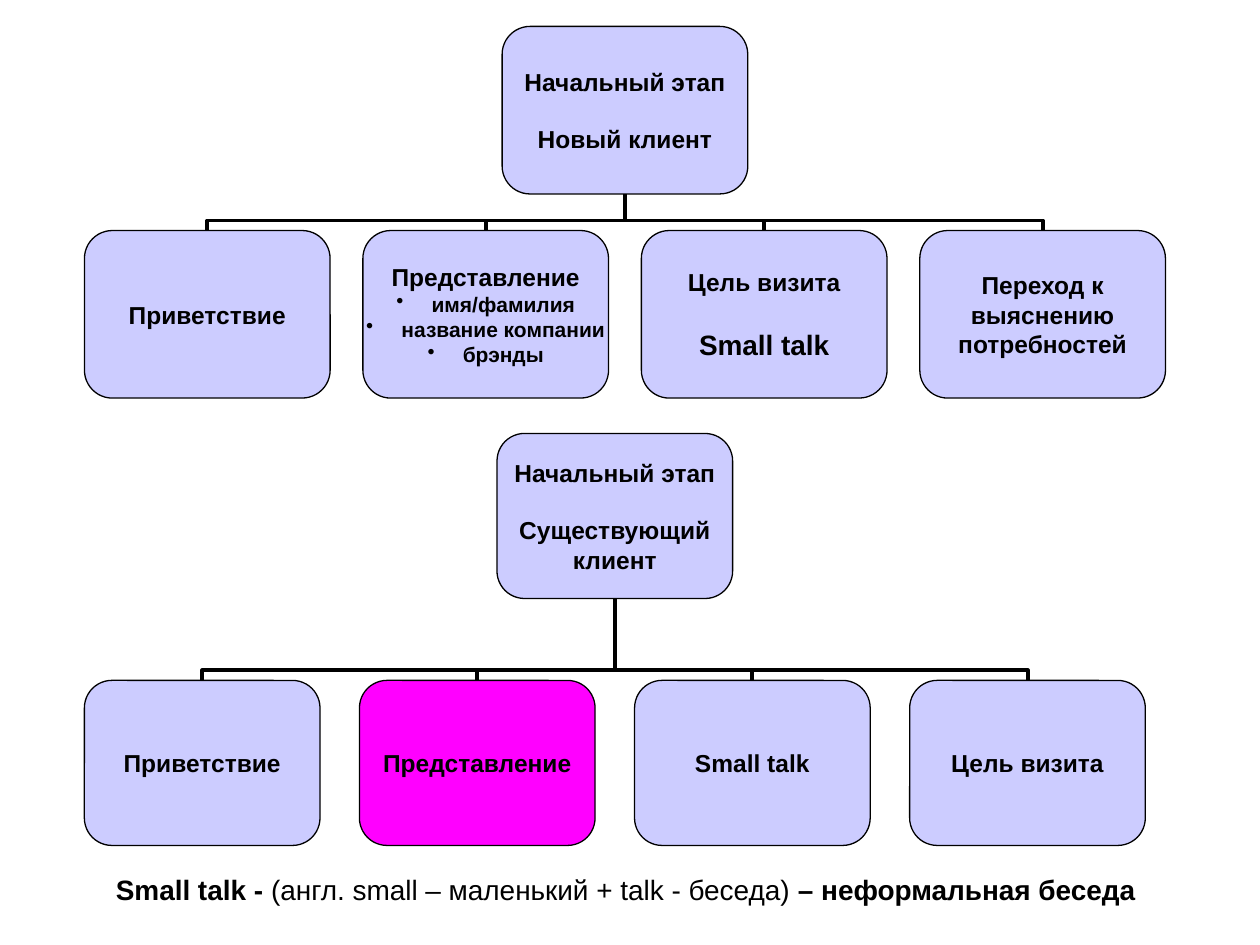
from dataclasses import dataclass

from lxml.etree import SubElement
from pptx import Presentation
from pptx.dml.color import RGBColor
from pptx.enum.shapes import MSO_CONNECTOR, MSO_SHAPE
from pptx.enum.text import MSO_ANCHOR, PP_ALIGN
from pptx.oxml.ns import qn
from pptx.util import Inches, Pt

BLACK = RGBColor(0x00, 0x00, 0x00)
LAVENDER = RGBColor(0xCC, 0xCC, 0xFF)
MAGENTA = RGBColor(0xFF, 0x00, 0xFF)
BULLET_INDENT = Inches(0.28)


@dataclass
class Line:
    text: str
    size: int = 14
    before: int = 0
    bullet: bool = False


def style_paragraph(paragraph, size):
    paragraph.alignment = PP_ALIGN.CENTER
    paragraph.font.name = "Arial"
    paragraph.font.size = Pt(size)
    paragraph.font.color.rgb = BLACK


def add_bullet(paragraph):
    properties = paragraph._p.get_or_add_pPr()
    properties.set("marL", str(BULLET_INDENT))
    properties.set("indent", str(-BULLET_INDENT))
    bullet = properties.makeelement(qn("a:buChar"), {"char": "•"})
    # The bullet goes before the default run properties
    properties.find(qn("a:defRPr")).addprevious(bullet)


def add_card(slide, left, top, width, height, lines, fill=LAVENDER):
    card = slide.shapes.add_shape(MSO_SHAPE.ROUNDED_RECTANGLE, left, top, width, height)
    card.shadow.inherit = False
    card.fill.solid()
    card.fill.fore_color.rgb = fill
    card.line.color.rgb = BLACK
    card.line.width = Pt(0.75)

    frame = card.text_frame
    frame.margin_left = frame.margin_right = frame.margin_top = frame.margin_bottom = 0
    frame.word_wrap = False
    frame.vertical_anchor = MSO_ANCHOR.MIDDLE
    for number, line in enumerate(lines):
        paragraph = frame.add_paragraph() if number else frame.paragraphs[0]
        paragraph.text = line.text
        style_paragraph(paragraph, line.size)
        paragraph.font.bold = True
        if line.before:
            paragraph.space_before = Pt(line.before)
        if line.bullet:
            add_bullet(paragraph)
    return card


def add_branch(slide, step, stage, bend):
    """Elbow from the top of a step up to the bottom of the stage."""
    start_x, start_y = step.left + step.width // 2, step.top
    end_x, end_y = stage.left + stage.width // 2, stage.top + stage.height
    branch = slide.shapes.add_connector(MSO_CONNECTOR.ELBOW, start_x, start_y, end_x, end_y)
    branch.begin_connect(step, 0)
    branch.end_connect(stage, 2)
    branch.line.color.rgb = BLACK
    branch.line.width = Pt(2.25)

    # A vertical elbow is a horizontal one turned by a quarter
    rise, run = start_y - end_y, abs(end_x - start_x)
    branch.left = (start_x + end_x - rise) // 2
    branch.top = (start_y + end_y - run) // 2
    branch.width, branch.height = rise, run
    on_left = start_x < end_x
    properties = branch.element.spPr
    transform = properties.find(qn("a:xfrm"))
    transform.set("rot", str((90 if on_left else 270) * 60000))
    transform.set("flipH", "1" if on_left else "0")
    transform.set("flipV", "1")
    adjustments = properties.find(qn("a:prstGeom")).find(qn("a:avLst"))
    SubElement(adjustments, qn("a:gd"), name="adj1", fmla=f"val {round(bend / rise * 100000)}")
    SubElement(properties, qn("a:effectLst"))


def add_stage_chart(slide, left, top, width, height, card_width, card_height, stage_lines, steps):
    """Stage card centred above an evenly spaced row of step cards."""
    pitch = (width - card_width) // (len(steps) - 1)
    stage = add_card(slide, left + (width - card_width) // 2, top,
                     card_width, card_height, stage_lines)
    for number, (lines, fill) in enumerate(steps):
        step = add_card(slide, left + number * pitch, top + height - card_height,
                        card_width, card_height, lines, fill)
        add_branch(slide, step, stage, Inches(0.08))


def add_footnote(slide, left, top, width, height, parts):
    frame = slide.shapes.add_textbox(left, top, width, height).text_frame
    frame.word_wrap = True
    frame.vertical_anchor = MSO_ANCHOR.MIDDLE
    paragraph = frame.paragraphs[0]
    style_paragraph(paragraph, 16)
    for text, bold in parts:
        run = paragraph.add_run()
        run.text = text
        run.font.bold = bold


def main():
    deck = Presentation()
    deck.slide_width, deck.slide_height = Inches(10), Inches(7.5)
    slide = deck.slides.add_slide(deck.slide_layouts[6])

    # Existing client
    add_stage_chart(
        slide, Inches(0.67), Inches(3.44), Inches(8.42), Inches(3.27),
        Inches(1.87), Inches(1.31),
        [Line("Начальный этап"), Line("Существующий", before=16), Line("клиент")],
        [
            ([Line("Приветствие")], LAVENDER),
            ([Line("Представление")], MAGENTA),
            ([Line("Small talk")], LAVENDER),
            ([Line("Цель визита")], LAVENDER),
        ],
    )

    # New client
    add_stage_chart(
        slide, Inches(0.67), Inches(0.21), Inches(8.58), Inches(2.95),
        Inches(1.95), Inches(1.33),
        [Line("Начальный этап"), Line("Новый клиент", before=16)],
        [
            ([Line("Приветствие")], LAVENDER),
            ([Line("Представление")]
             + [Line(text, 12, bullet=True)
                for text in ("имя/фамилия", "название компании", "брэнды")], LAVENDER),
            ([Line("Цель визита"), Line("Small talk", 16, before=18)], LAVENDER),
            ([Line("Переход к"), Line("выяснению"), Line("потребностей")], LAVENDER),
        ],
    )

    # Definition of the term
    add_footnote(
        slide, Inches(0.59), Inches(6.82), Inches(8.75), Inches(0.47),
        [
            ("Small talk - ", True),
            ("(англ. small – маленький + talk - беседа)", False),
            (" – неформальная беседа", True),
        ],
    )
    deck.save("out.pptx")


if __name__ == "__main__":
    main()
